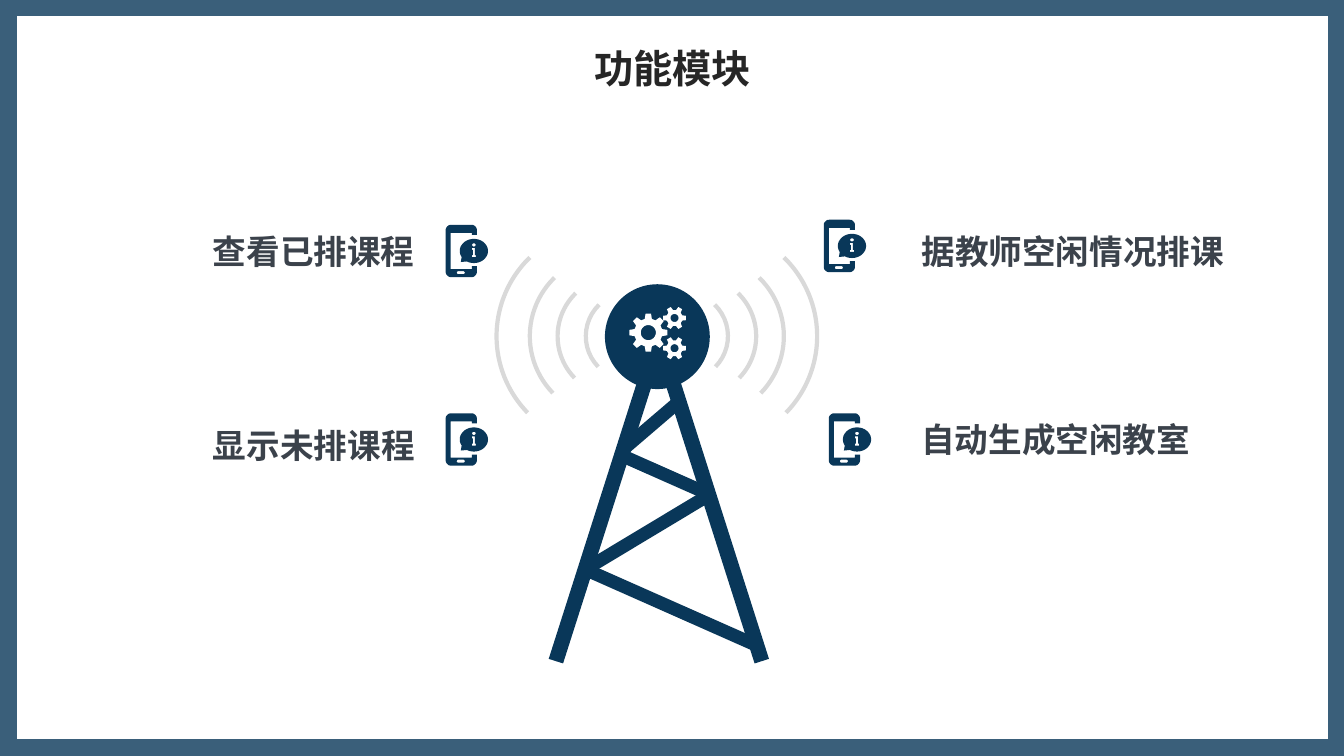
import math
import pptx
import pptx.util
import pptx.dml.color
import pptx.enum.shapes
import pptx.enum.text

WIDTH, HEIGHT = 13.33, 7.5
COLORS = {"navy": "093759", "frame": "3A5F7A", "white": "FFFFFF",
          "wave": "D9D9D9", "label": "3B424B", "title": "262626"}
FONT = "Arial"
TITLE = ("功能模块", (5.79, 0.39, 1.76, 0.57))
LABELS = [
    ("据教师空闲情况排课", (8.89, 2.24, 3.5, 0.5), "CENTER", 1),
    ("自动生成空闲教室", (8.78, 4.11, 3.38, 0.5), "CENTER", 1),
    ("查看已排课程", (1.76, 2.16, 2.45, 0.58), "RIGHT", 1.2),
    ("显示未排课程", (1.49, 4.17, 2.72, 0.5), "RIGHT", 1),
]
PHONES = [(4.42, 2.23), (8.17, 2.18), (4.42, 4.1), (8.22, 4.1)]
HUB = (6, 2.82, 1.04, 1.04)
BEAMS = [
    (5.89, 3.66, 0.15, 2.97, 17.7),
    (7.03, 3.66, 0.15, 2.97, -17.7),
    (6.4, 3.84, 0.13, 0.75, 49.4),
    (6.51, 4.23, 0.13, 0.94, -66.1),
    (6.37, 4.53, 0.13, 1.48, 59),
    (6.6, 5.13, 0.13, 1.8, -66.1),
]
TOWER_X, WAVE_Y, WAVE_TILT = 6.5, 3.335, 44.2
WAVES = [(0.87, 0.27), (1.19, 0.39), (1.62, 0.45), (2.18, 0.5)]
GEARS = [(6.43, 3.3, 0.19, 0.14, 0.075, 8),
         (6.69, 3.155, 0.115, 0.08, 0.04, 6),
         (6.69, 3.455, 0.115, 0.08, 0.04, 6)]

SHAPE = pptx.enum.shapes.MSO_SHAPE
Inches, Pt = pptx.util.Inches, pptx.util.Pt


def rgb(name):
    return pptx.dml.color.RGBColor.from_string(COLORS[name])


def paint(sp, color):
    sp.shadow.inherit = False
    sp.fill.solid()
    sp.fill.fore_color.rgb = rgb(color)
    sp.line.fill.background()


def add_solid(shapes, kind, box, color, rotation=0):
    sp = shapes.add_shape(kind, *map(Inches, box))
    paint(sp, color)
    sp.rotation = rotation


def add_wave(shapes, size, offset, side):
    x = TOWER_X + 0.015 + side * offset
    sp = shapes.add_shape(SHAPE.ARC, Inches(x - size / 2),
                          Inches(WAVE_Y - size / 2), Inches(size), Inches(size))
    sp.shadow.inherit = False
    sp.fill.background()
    sp.line.color.rgb = rgb("wave")
    sp.line.width = Pt(3)
    sp.rotation = WAVE_TILT if side > 0 else 270 - WAVE_TILT


def curve(cx, cy, rx, ry, start=0, end=360, step=10):
    angles = [math.radians(a) for a in range(start, end + 1, step)]
    return [(cx + rx * math.cos(a), cy + ry * math.sin(a)) for a in angles]


def gear(cx, cy, outer, root, hole, teeth):
    pitch = 360 / teeth
    profile = [(-0.32, root), (-0.18, outer), (0.18, outer), (0.32, root)]
    rim = []
    for tooth in range(teeth):
        for shift, radius in profile:
            a = math.radians((tooth + shift) * pitch)
            rim.append((cx + radius * math.cos(a), cy + radius * math.sin(a)))
    return [rim, curve(cx, cy, hole, hole)]


def phone(x, y):
    r = 0.055
    body = (curve(r, r, r, r, 180, 270) + curve(0.31 - r, r, r, r, 270, 360)
            + [(0.31, 0.1), (0.26, 0.1), (0.26, 0.08), (0.05, 0.08),
               (0.05, 0.44), (0.26, 0.44), (0.26, 0.41), (0.31, 0.41)]
            + curve(0.31 - r, 0.52 - r, r, r, 0, 90)
            + curve(r, 0.52 - r, r, r, 90, 180))
    bubble = curve(0.28, 0.26, 0.14, 0.12, 150, 480) + [(0.15, 0.37)]
    dot = curve(0.28, 0.2, 0.018, 0.016)
    stem = [(0.26, 0.23), (0.29, 0.23), (0.29, 0.3), (0.3, 0.3), (0.3, 0.32),
            (0.26, 0.32), (0.26, 0.3), (0.27, 0.3), (0.27, 0.25), (0.26, 0.25)]
    button = (curve(0.125, 0.475, 0.015, 0.015, 90, 270)
              + curve(0.175, 0.475, 0.015, 0.015, -90, 90))
    return [[(x + px, y + py) for px, py in part]
            for part in (body, bubble, dot, stem, button)]


def add_outline(shapes, contours, color):
    grid = [[(px * 1000, py * 1000) for px, py in part] for part in contours]
    builder = shapes.build_freeform(*grid[0][0], scale=Inches(1) / 1000)
    for i, part in enumerate(grid):
        if i:
            builder.move_to(*part[0])
        builder.add_line_segments(part[1:], close=True)
    paint(builder.convert_to_shape(), color)


def write(sp, text, size, color, align, wrap, spacing=1):
    tf = sp.text_frame
    tf.text = text
    tf.word_wrap = wrap
    tf.auto_size = pptx.enum.text.MSO_AUTO_SIZE.SHAPE_TO_FIT_TEXT
    tf.vertical_anchor = pptx.enum.text.MSO_ANCHOR.TOP
    p = tf.paragraphs[0]
    p.alignment = pptx.enum.text.PP_ALIGN[align]
    p.line_spacing = spacing
    font = p.runs[0].font
    font.name, font.size, font.bold = FONT, Pt(size), True
    font.color.rgb = rgb(color)


def main():
    prs = pptx.Presentation()
    prs.slide_width, prs.slide_height = Inches(WIDTH), Inches(HEIGHT)
    slide = prs.slides.add_slide(prs.slide_layouts[5])
    shapes = slide.shapes

    add_solid(shapes, SHAPE.RECTANGLE, (0, 0, WIDTH, HEIGHT), "frame")
    add_solid(shapes, SHAPE.RECTANGLE, (0.17, 0.16, 13, 7.17), "white")
    add_solid(shapes, SHAPE.OVAL, HUB, "navy")
    for *box, rotation in BEAMS:
        add_solid(shapes, SHAPE.RECTANGLE, box, "navy", rotation)
    for side in (1, -1):
        for size, offset in WAVES:
            add_wave(shapes, size, offset, side)
    add_outline(shapes, [part for g in GEARS for part in gear(*g)], "white")
    for corner in PHONES:
        add_outline(shapes, phone(*corner), "navy")
    for text, box, align, spacing in LABELS:
        sp = shapes.add_textbox(*map(Inches, box))
        write(sp, text, 24, "label", align, True, spacing)

    title = shapes.title
    text, box = TITLE
    title.left, title.top, title.width, title.height = map(Inches, box)
    write(title, text, 28, "title", "CENTER", False)
    title.element.getparent().append(title.element)
    prs.save("out.pptx")


if __name__ == "__main__":
    main()
